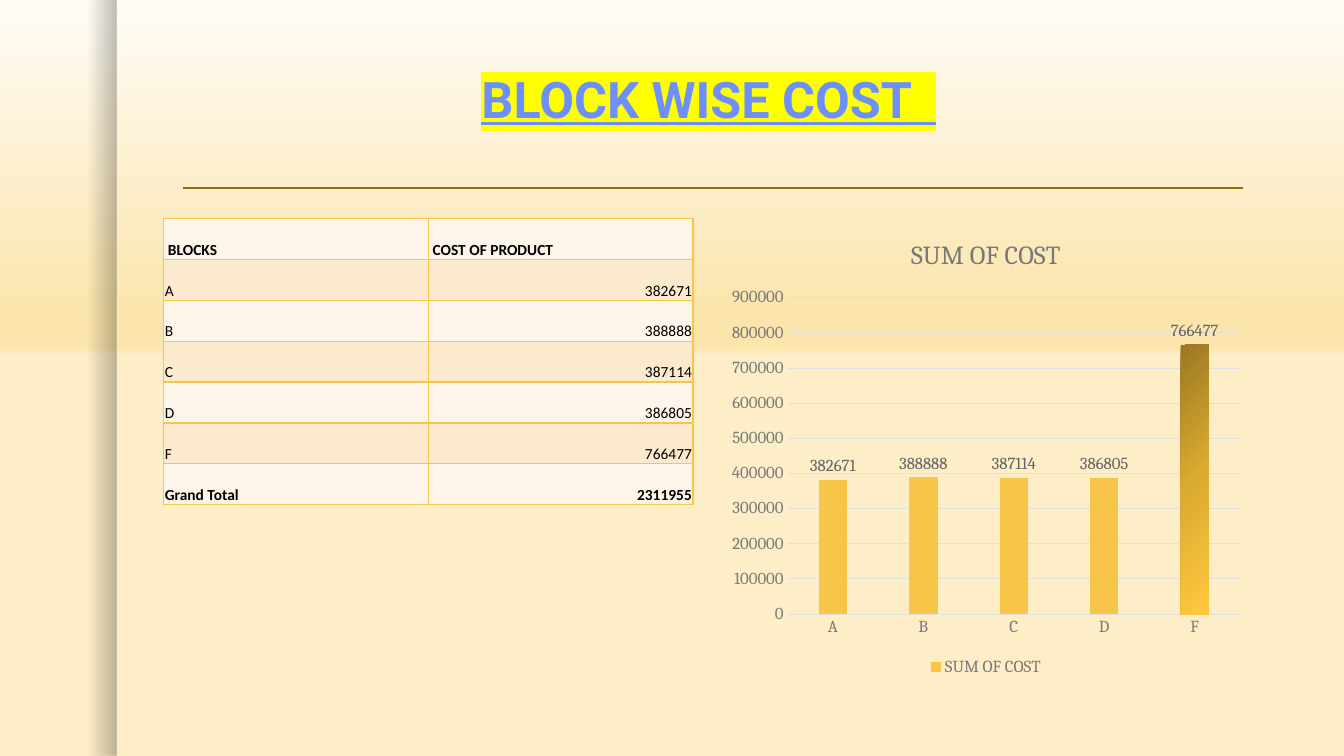
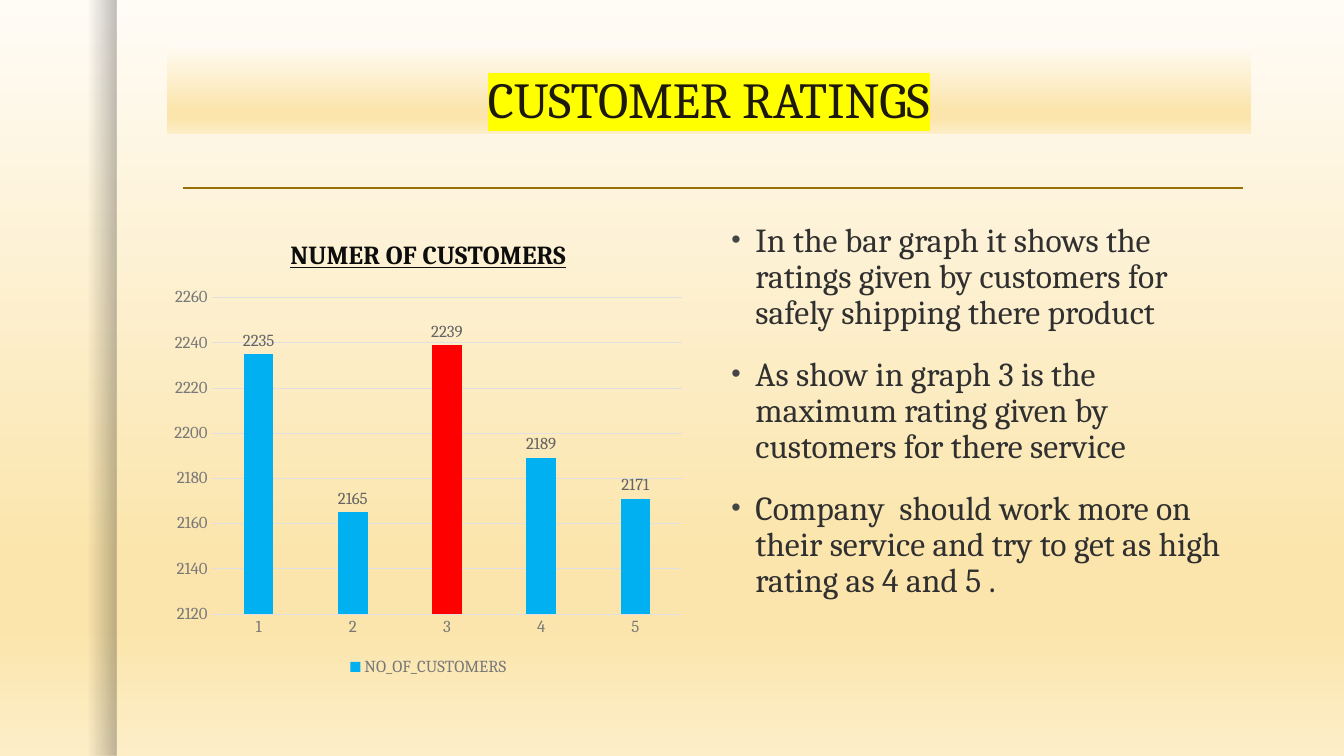
from dataclasses import dataclass
from typing import Any, Optional

import lxml.etree
import pptx
import pptx.chart.chart
import pptx.chart.data
import pptx.dml.color
import pptx.enum.chart
import pptx.enum.shapes
import pptx.enum.text
import pptx.oxml.ns
import pptx.presentation
import pptx.slide
import pptx.text.text
import pptx.util

RGB = pptx.dml.color.RGBColor
ALIGN = pptx.enum.text.PP_ALIGN
ANCHOR = pptx.enum.text.MSO_ANCHOR

BLACK = RGB(0x00, 0x00, 0x00)
INK = RGB(0x30, 0x30, 0x30)
BULLET = RGB(0x45, 0x45, 0x45)
TITLE_INK = RGB(0x1E, 0x19, 0x0D)
TITLE_BLUE = RGB(0x6E, 0x90, 0xFE)
CHART_TITLE_INK = RGB(0x0D, 0x0D, 0x0D)
YELLOW = RGB(0xFF, 0xFF, 0x00)
RULE = RGB(0x98, 0x6F, 0x07)
GOLD = RGB(0xF7, 0xC5, 0x47)
BLUE = RGB(0x00, 0xB0, 0xF0)
RED = RGB(0xFF, 0x00, 0x00)
AXIS_INK = RGB(0x78, 0x78, 0x78)
LABEL_INK = RGB(0x64, 0x64, 0x64)
GRID = RGB(0xE0, 0xE0, 0xE0)
ROW_LIGHT = RGB(0xFD, 0xF5, 0xE9)
ROW_DARK = RGB(0xFC, 0xEA, 0xCF)
CREAM = RGB(0xFF, 0xFC, 0xF6)
HONEY = RGB(0xFB, 0xE5, 0xAC)
SAND = RGB(0xFD, 0xEE, 0xC8)
GOLD_DARK = RGB(0x9A, 0x78, 0x22)
GOLD_MID = RGB(0xDB, 0xAB, 0x31)
GOLD_LIGHT = RGB(0xFF, 0xC8, 0x3F)

EMU_PER_PX = 9525
SLIDE_W, SLIDE_H = 1280, 720
LEFT_X, RIGHT_X, CONTENT_Y = 156, 687, 208
CONTENT_W, CONTENT_H = 504, 440
ROW_H = 39


@dataclass(frozen=True)
class Stop:
    pos: int
    color: RGB
    alpha: int = 100


@dataclass(frozen=True)
class BarChart:
    x: int
    title: str
    series: str
    cats: list[str]
    values: list[int]
    low: int
    high: int
    step: int
    color: RGB
    title_color: RGB = AXIS_INK
    title_strong: bool = False


SHORT_GLOW = [Stop(0, CREAM), Stop(42, HONEY), Stop(46, HONEY), Stop(47, SAND)]
LONG_GLOW = [Stop(0, CREAM), Stop(74, HONEY), Stop(83, HONEY), Stop(100, SAND)]
EDGE_SHADE = [Stop(75, BLACK, 0), Stop(100, BLACK, 25)]
BAR_GOLD = [Stop(0, GOLD_DARK), Stop(50, GOLD_MID), Stop(100, GOLD_LIGHT)]


def px(n: int) -> pptx.util.Emu:
    return pptx.util.Emu(n * EMU_PER_PX)


def sub(parent: Any, tag: str, **attrs: Any) -> Any:
    values = {k: str(v) for k, v in attrs.items()}
    return lxml.etree.SubElement(parent, pptx.oxml.ns.qn(tag), values)


def paint_gradient(fill: Any, root: Any, stops: list[Stop], angle: int) -> None:
    fill.gradient()
    grad = root.find(".//" + pptx.oxml.ns.qn("a:gradFill"))
    for child in list(grad):
        grad.remove(child)
    gs_list = sub(grad, "a:gsLst")
    for stop in stops:
        gs = sub(gs_list, "a:gs", pos=stop.pos * 1000)
        clr = sub(gs, "a:srgbClr", val=stop.color)
        if stop.alpha < 100:
            sub(clr, "a:alpha", val=stop.alpha * 1000)
    sub(grad, "a:lin", ang=angle * 60000, scaled=0)


def style_font(font: Any, size: float, color: RGB, name: str = "Cambria",
               bold: bool = False, underline: bool = False) -> None:
    font.size = pptx.util.Pt(size)
    font.name = name
    font.bold = bold
    font.underline = underline
    font.color.rgb = color


def add_run(p: Any, text: str, *, size: float, color: RGB, name: str = "Cambria",
            bold: bool = False, underline: bool = False,
            highlight: Optional[RGB] = None) -> None:
    r = p.add_run()
    r.text = text
    style_font(r.font, size, color, name, bold, underline)
    if highlight is not None:
        r_pr = r._r.get_or_add_rPr()
        mark = sub(r_pr, "a:highlight")
        sub(mark, "a:srgbClr", val=highlight)
        r_pr.find(pptx.oxml.ns.qn("a:solidFill")).addnext(mark)


def add_slide(prs: pptx.presentation.Presentation, title: str, glow: list[Stop],
              **title_format: Any) -> pptx.slide.Slide:
    slide = prs.slides.add_slide(prs.slide_layouts[5])
    paint_gradient(slide.background.fill, slide._element, glow, 90)

    edge = slide.shapes.add_shape(pptx.enum.shapes.MSO_SHAPE.RECTANGLE,
                                  0, 0, px(111), px(SLIDE_H))
    edge.shadow.inherit = False
    edge.line.fill.background()
    paint_gradient(edge.fill, edge._element, EDGE_SHADE, 0)

    rule = slide.shapes.add_connector(pptx.enum.shapes.MSO_CONNECTOR.STRAIGHT,
                                      px(174), px(179), px(1184), px(179))
    rule.line.color.rgb = RULE
    rule.line.width = pptx.util.Pt(1)
    sub(rule._element.spPr, "a:effectLst")

    sp = slide.shapes.title
    sp.left, sp.top, sp.width, sp.height = px(159), px(40), px(1032), px(88)
    tf = sp.text_frame
    tf.word_wrap = True
    tf.auto_size = pptx.enum.text.MSO_AUTO_SIZE.NONE
    tf.vertical_anchor = ANCHOR.BOTTOM
    p = tf.paragraphs[0]
    p.alignment = ALIGN.CENTER
    p.line_spacing = 0.9
    add_run(p, title, size=36, highlight=YELLOW, **title_format)
    return slide


def add_cost_table(slide: pptx.slide.Slide, rows: list[tuple[str, str]]) -> None:
    table = slide.shapes.add_table(len(rows), 2, px(LEFT_X), px(CONTENT_Y),
                                   px(CONTENT_W), px(ROW_H * len(rows))).table
    table.first_row = table.horz_banding = False
    for i, row in enumerate(rows):
        header = i == 0
        for j, text in enumerate(row):
            cell = table.cell(i, j)
            cell.vertical_anchor = ANCHOR.BOTTOM
            cell.margin_left = px(4 if header else 1)
            cell.margin_right = cell.margin_top = px(1)
            cell.margin_bottom = 0
            p = cell.text_frame.paragraphs[0]
            p.alignment = ALIGN.RIGHT if j and not header else ALIGN.LEFT
            add_run(p, text, size=11, color=BLACK, name="Calibri",
                    bold=header or i == len(rows) - 1)
            tc_pr = cell._tc.get_or_add_tcPr()
            for side in ("a:lnL", "a:lnR", "a:lnT", "a:lnB"):
                ln = sub(tc_pr, side, w=pptx.util.Pt(1))
                sub(sub(ln, "a:solidFill"), "a:srgbClr", val=GOLD)
            cell.fill.solid()
            cell.fill.fore_color.rgb = ROW_DARK if i % 2 else ROW_LIGHT


def add_bar_chart(slide: pptx.slide.Slide, spec: BarChart) -> pptx.chart.chart.Chart:
    data = pptx.chart.data.CategoryChartData()
    data.categories = spec.cats
    data.add_series(spec.series, spec.values)
    chart = slide.shapes.add_chart(
        pptx.enum.chart.XL_CHART_TYPE.COLUMN_CLUSTERED, px(spec.x), px(CONTENT_Y),
        px(CONTENT_W), px(CONTENT_H), data).chart
    style_font(chart.font, 10, INK)

    chart.has_title = True
    add_run(chart.chart_title.text_frame.paragraphs[0], spec.title, size=18.6,
            color=spec.title_color, bold=spec.title_strong,
            underline=spec.title_strong)
    chart.has_legend = True
    chart.legend.position = pptx.enum.chart.XL_LEGEND_POSITION.BOTTOM
    chart.legend.include_in_layout = False
    style_font(chart.legend.font, 12, AXIS_INK)

    cat_axis, val_axis = chart.category_axis, chart.value_axis
    for axis in (cat_axis, val_axis):
        axis.major_tick_mark = pptx.enum.chart.XL_TICK_MARK.NONE
        style_font(axis.tick_labels.font, 12, AXIS_INK)
    val_axis.minimum_scale = spec.low
    val_axis.maximum_scale = spec.high
    val_axis.major_unit = spec.step
    val_axis.format.line.fill.background()
    for line in (cat_axis.format.line, val_axis.major_gridlines.format.line):
        line.color.rgb = GRID
        line.width = pptx.util.Pt(0.75)

    plot = chart.plots[0]
    plot.vary_by_categories = False
    plot.gap_width = 219
    plot.overlap = -27
    plot.has_data_labels = True
    labels = plot.data_labels
    labels.show_value = True
    labels.position = pptx.enum.chart.XL_LABEL_POSITION.OUTSIDE_END
    style_font(labels.font, 12, LABEL_INK)
    fill = plot.series[0].format.fill
    fill.solid()
    fill.fore_color.rgb = spec.color
    return chart


def add_bullets(slide: pptx.slide.Slide, items: list[str]) -> None:
    tf = slide.shapes.add_textbox(px(RIGHT_X), px(CONTENT_Y), px(CONTENT_W),
                                  px(CONTENT_H)).text_frame
    tf.word_wrap = True
    for i, item in enumerate(items):
        p = tf.add_paragraph() if i else tf.paragraphs[0]
        p.line_spacing = 0.9
        p.space_before = pptx.util.Pt(18)
        p_pr = p._p.get_or_add_pPr()
        p_pr.set("marL", str(px(23)))
        p_pr.set("indent", str(px(-23)))
        sub(sub(p_pr, "a:buClr"), "a:srgbClr", val=BULLET)
        sub(p_pr, "a:buSzPct", val=80000)
        sub(p_pr, "a:buFont", typeface="Arial")
        sub(p_pr, "a:buChar", char="•")
        add_run(p, item, size=24, color=INK)


def build_cost_slide(prs: pptx.presentation.Presentation) -> None:
    slide = add_slide(prs, "BLOCK WISE COST  ", SHORT_GLOW, color=TITLE_BLUE,
                      name="Roboto", bold=True, underline=True)
    blocks = ["A", "B", "C", "D", "F"]
    costs = [382671, 388888, 387114, 386805, 766477]
    body = [(block, str(cost)) for block, cost in zip(blocks, costs)]
    add_cost_table(slide, [("BLOCKS", "COST OF PRODUCT"), *body,
                           ("Grand Total", str(sum(costs)))])
    chart = add_bar_chart(slide, BarChart(
        RIGHT_X, "SUM OF COST", "SUM OF COST", blocks, costs,
        0, 900000, 100000, GOLD))
    point = chart.plots[0].series[0].points[4]
    paint_gradient(point.format.fill, chart._chartSpace, BAR_GOLD, 45)


def build_ratings_slide(prs: pptx.presentation.Presentation) -> None:
    slide = add_slide(prs, "CUSTOMER RATINGS", LONG_GLOW, color=TITLE_INK)
    title = slide.shapes.title
    paint_gradient(title.fill, title._element, LONG_GLOW, 90)
    chart = add_bar_chart(slide, BarChart(
        LEFT_X, "NUMER OF CUSTOMERS", "NO_OF_CUSTOMERS", ["1", "2", "3", "4", "5"],
        [2235, 2165, 2239, 2189, 2171], 2120, 2260, 20, BLUE,
        title_color=CHART_TITLE_INK, title_strong=True))
    fill = chart.plots[0].series[0].points[2].format.fill
    fill.solid()
    fill.fore_color.rgb = RED
    add_bullets(slide, [
        "In the bar graph it shows the ratings given by customers for safely "
        "shipping there product",
        "As show in graph 3 is the maximum rating given by customers for there service",
        "Company  should work more on their service and try to get as high rating "
        "as 4 and 5 .",
    ])


def main() -> None:
    prs = pptx.Presentation()
    prs.slide_width, prs.slide_height = px(SLIDE_W), px(SLIDE_H)
    build_cost_slide(prs)
    build_ratings_slide(prs)
    prs.save("out.pptx")


if __name__ == "__main__":
    main()
